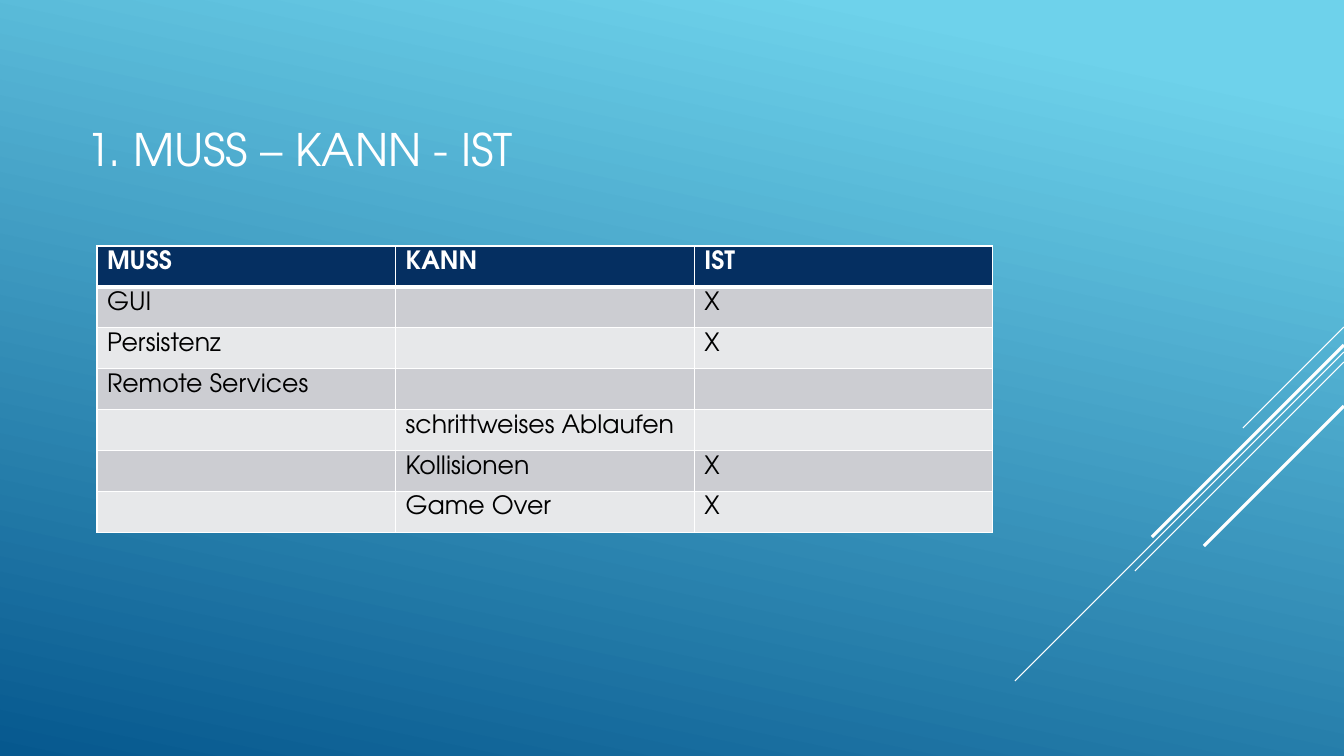
import pptx
import pptx.dml.color
import pptx.enum.shapes
import pptx.enum.text
import pptx.oxml
import pptx.oxml.ns
import pptx.util
from dataclasses import dataclass
from lxml import etree

TITLE = "1. MUSS – KANN - IST"
ROWS = [
    ("MUSS", "KANN", "IST"),
    ("GUI", "", "X"),
    ("Persistenz", "", "X"),
    ("Remote Services", "", ""),
    ("", "schrittweises Ablaufen", ""),
    ("", "Kollisionen", "X"),
    ("", "Game Over", "X"),
]
STRIPES = [
    {"top": 327, "run": 101, "weight": 0.75},
    {"top": 352, "run": 329, "weight": 0.75},
    {"top": 362, "run": 209, "weight": 0.75},
    {"top": 345, "run": 192, "weight": 2.25},
    {"top": 406, "run": 140, "weight": 2.25},
]
SLIDE_W, SLIDE_H = 1344, 756
TITLE_BOX = (76, 76, 1109, 146)
TABLE_BOX = (97, 246, 896, 286)


@dataclass(frozen=True)
class Theme:
    font: str = "TeX Gyre Adventor"
    white: str = "FFFFFF"
    black: str = "000000"
    sky: str = "6ED2EB"
    sea: str = "06588E"
    header: str = "052F61"
    bands: tuple = ("CCCDD2", "E7E8EA")
    title_size: int = 32
    cell_size: int = 18


THEME = Theme()


def px(n):
    return pptx.util.Emu(round(n * 12192000 / SLIDE_W))


def rgb(value):
    return pptx.dml.color.RGBColor.from_string(value)


def write(tf, text, size, color, bold=False):
    p = tf.paragraphs[0]
    p.alignment = pptx.enum.text.PP_ALIGN.LEFT
    r = p.add_run()
    r.text = text
    r.font.name = THEME.font
    r.font.size = pptx.util.Pt(size)
    r.font.bold = bold
    r.font.color.rgb = rgb(color)


def set_borders(cell, bottom=1, top=1):
    tc_pr = cell._tc.get_or_add_tcPr()
    widths = {"lnL": 1, "lnR": 1, "lnT": top, "lnB": bottom}
    for i, (tag, width) in enumerate(widths.items()):
        ln = etree.Element(pptx.oxml.ns.qn("a:" + tag), w=str(pptx.util.Pt(width)))
        fill = etree.SubElement(ln, pptx.oxml.ns.qn("a:solidFill"))
        etree.SubElement(fill, pptx.oxml.ns.qn("a:srgbClr"), val=THEME.white)
        tc_pr.insert(i, ln)


def paint_background(slide):
    fill = slide.background.fill
    fill.gradient()
    fill.gradient_angle = 360 - 102
    stops = ((0.1, THEME.sky), (1, THEME.sea))
    for stop, (position, color) in zip(fill.gradient_stops, stops):
        stop.position = position
        stop.color.rgb = rgb(color)


def add_stripe(slide, top, run, weight):
    line = slide.shapes.add_connector(
        pptx.enum.shapes.MSO_CONNECTOR.STRAIGHT,
        px(SLIDE_W), px(top), px(SLIDE_W - run), px(top + run))
    line.line.color.rgb = rgb(THEME.white)
    line.line.width = pptx.util.Pt(weight)
    etree.SubElement(line._element.spPr, pptx.oxml.ns.qn("a:effectLst"))


def add_title(slide):
    sp = slide.shapes.title
    sp.left, sp.top, sp.width, sp.height = map(px, TITLE_BOX)
    tf = sp.text_frame
    tf.word_wrap = True
    tf.auto_size = pptx.enum.text.MSO_AUTO_SIZE.NONE
    tf.vertical_anchor = pptx.enum.text.MSO_ANCHOR.MIDDLE
    write(tf, TITLE, THEME.title_size, THEME.white)


def add_goals(slide):
    table = slide.shapes.add_table(len(ROWS), len(ROWS[0]), *map(px, TABLE_BOX)).table
    for i, values in enumerate(ROWS):
        is_header = i == 0
        for j, text in enumerate(values):
            cell = table.cell(i, j)
            cell.fill.solid()
            cell.fill.fore_color.rgb = rgb(THEME.header if is_header else THEME.bands[(i - 1) % 2])
            set_borders(cell, bottom=3 if is_header else 1, top=3 if i == 1 else 1)
            if text:
                write(cell.text_frame, text, THEME.cell_size,
                      THEME.white if is_header else THEME.black, bold=is_header)


def main():
    prs = pptx.Presentation()
    prs.slide_width, prs.slide_height = px(SLIDE_W), px(SLIDE_H)
    slide = prs.slides.add_slide(prs.slide_layouts[5])
    paint_background(slide)
    for stripe in STRIPES:
        add_stripe(slide, **stripe)
    add_title(slide)
    add_goals(slide)
    prs.save("out.pptx")


if __name__ == "__main__":
    main()
